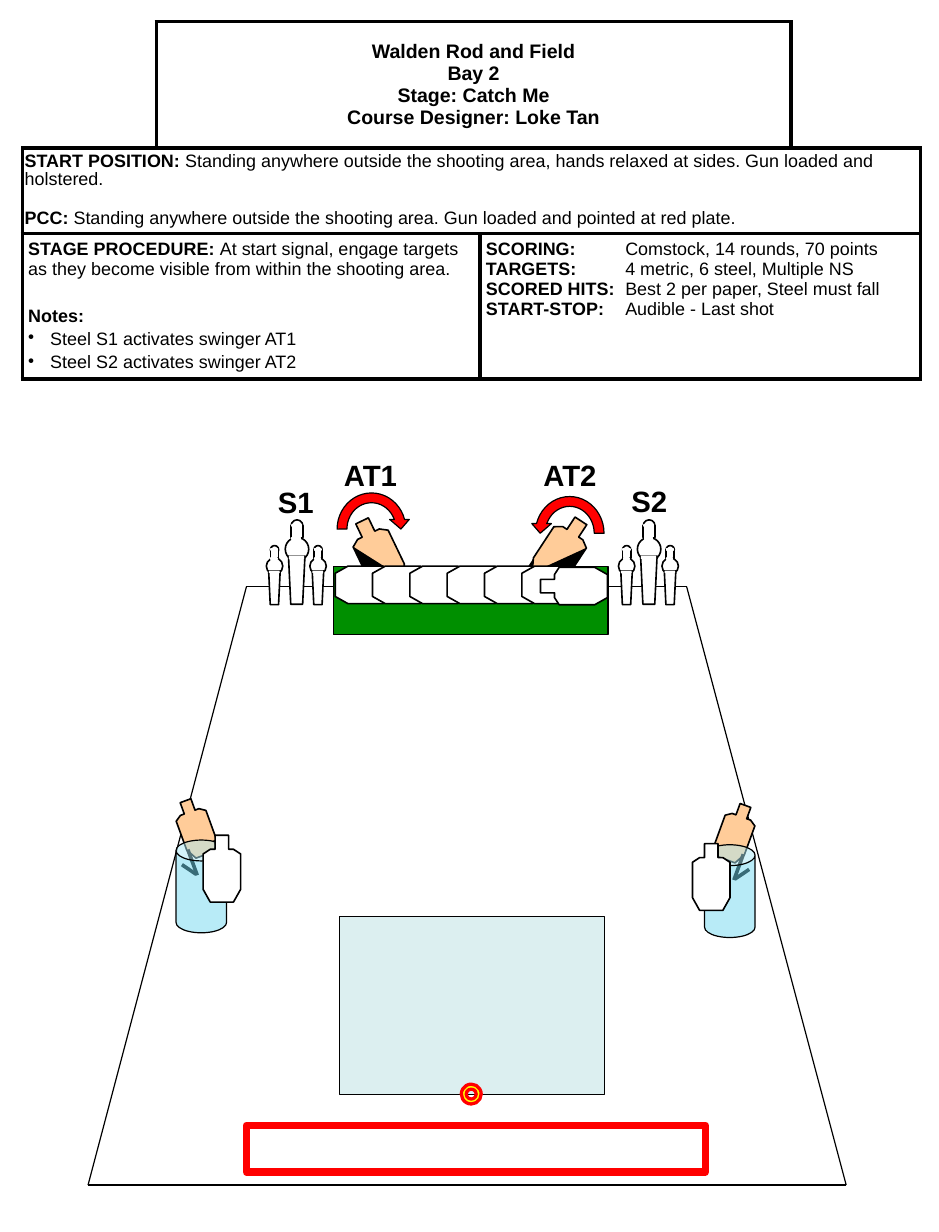
from dataclasses import dataclass

from lxml import etree
from pptx import Presentation
from pptx.dml.color import RGBColor
from pptx.enum import shapes as es, text as et
from pptx.oxml import ns
from pptx.util import Pt

BLACK, WHITE, RED, TAN = "000000", "FFFFFF", "FF0000", "FFCC99"
KIND = es.MSO_SHAPE


@dataclass
class Box:
    x: float
    y: float
    w: float
    h: float

    def emu(self):
        return Pt(self.x), Pt(self.y), Pt(self.w), Pt(self.h)


@dataclass
class Stick:
    x1: float
    y1: float
    x2: float
    y2: float


@dataclass
class Para:
    label: str
    body: str = ""
    gap: float = 0
    bullet: bool = False


TORSO = [(.32, 0), (.68, 0), (.68, .21), (.81, .21), (1, .28), (1, .81),
         (.81, 1), (.19, 1), (0, .81), (0, .28), (.19, .21), (.32, .21)]
SHADE = [(0, 0), (0, .72), (.22, 1), (1, 1)]
STEM = [(0, 0), (1, 0), (.86, 1), (.14, 1)]
FULL = 571.2  # left edge plus right edge of a mirrored pair

prs = Presentation()
prs.slide_width, prs.slide_height = Pt(576), Pt(756)
slide = prs.slides.add_slide(prs.slide_layouts[6])
pool = slide.shapes


def color(code: str) -> RGBColor:
    return RGBColor.from_string(code)


def sub(node, tag: str, **attrs: str):
    return etree.SubElement(node, ns.qn(tag), **attrs)


def paint(item, fill: str | None, line: str | None, width: float, alpha: int = 100):
    item.shadow.inherit = False
    if fill:
        item.fill.solid()
        item.fill.fore_color.rgb = color(fill)
        if alpha < 100:
            tone = item.fill._xPr.find(".//" + ns.qn("a:srgbClr"))
            sub(tone, "a:alpha", val=str(alpha * 1000))
    else:
        item.fill.background()
    if line:
        item.line.color.rgb = color(line)
        item.line.width = Pt(width)
    else:
        item.line.fill.background()
    return item


def shape(kind, box: Box, fill: str | None, line: str | None = BLACK,
          width: float = .75, alpha: int = 100):
    return paint(pool.add_shape(kind, *box.emu()), fill, line, width, alpha)


def outline(pts: list, box: Box, fill: str, turn: float = 0, flip: bool = False,
            line: str | None = BLACK):
    """Draw an outline given in fractions of its box."""
    spots = [(Pt(box.x + (1 - a if flip else a) * box.w), Pt(box.y + b * box.h)) for a, b in pts]
    maker = pool.build_freeform(*spots[0])
    maker.add_line_segments(spots[1:], close=True)
    item = paint(maker.convert_to_shape(), fill, line, 1)
    item.rotation = turn


def stick(s: Stick, width: float = 2.25):
    item = pool.add_connector(es.MSO_CONNECTOR.STRAIGHT, Pt(s.x1), Pt(s.y1), Pt(s.x2), Pt(s.y2))
    item.line.color.rgb = color(BLACK)
    item.line.width = Pt(width)
    sub(item._element.spPr, "a:effectLst")


def popper(x: float, y: float, size: float):
    def part(a, b, w, h):
        return Box(x + a * size, y + b * size, w * size, h * size)
    shape(KIND.OVAL, part(3.6, 0, 7.2, 7.2), WHITE, width=1)
    shape(KIND.OVAL, part(0, 10.8, 14.4, 14.4), WHITE, width=1)
    outline(STEM, part(2, 22.3, 10.1, 29.5), WHITE)
    shape(KIND.RECTANGLE, part(3.6, 3.6, 7.2, 7.2), WHITE, width=1)
    shape(KIND.RECTANGLE, part(2.2, 22, 9.4, 2), WHITE, None)
    for seam in (part(4.3, 10.8, 5, 1.4), part(4, 3, 6, .7)):
        shape(KIND.RECTANGLE, seam, WHITE, WHITE, 1)


def swinger(pole: Stick, body: Box, dark: Box, turn: float, flip: bool):
    stick(pole)
    outline(TORSO, body, TAN, turn)
    outline(SHADE, dark, BLACK, turn, flip, None)


def barrel(flip: bool):
    """Draw a barrel with the target standing in it."""
    drop = 2.9 if flip else 0

    def side(x, w=0):
        return FULL - x - w if flip else x
    outline(TORSO, Box(side(110.2, 19.4), 490.3 + drop, 19.4, 35.3), TAN, 20 if flip else 340)
    for a, b, c, d in ((131.8, 515.5, 137.5, 531.4), (115.2, 521.3, 121, 537.1),
                       (111.6, 530.6, 120.2, 536.4), (130.3, 526.3, 137.5, 530.6)):
        stick(Stick(side(a), b + drop, side(c), d + drop))
    can = shape(KIND.CAN, Box(side(108, 31), 515.5 + drop, 31, 56.9), "73D9F1", alpha=50)
    can.adjustments[0] = .413


def label(words: str, box: Box):
    frame = pool.add_textbox(*box.emu()).text_frame
    frame.word_wrap = False
    frame.text = words
    style(frame.paragraphs[0].runs[0], 18, True)


def style(run, size: float, bold: bool):
    run.font.name, run.font.size, run.font.bold = "Arial", Pt(size), bold
    run.font.color.rgb = color(BLACK)


def write(cell, paras: list[Para], inset: tuple = (3.6, 3.6), size: float = 11,
          space: float = 1, tab: float = 0):
    cell.margin_left = cell.margin_right = Pt(inset[0])
    cell.margin_top = cell.margin_bottom = Pt(inset[1])
    frame = cell.text_frame
    for i, para in enumerate(paras):
        p = frame.paragraphs[0] if i == 0 else frame.add_paragraph()
        p.line_spacing = space
        p.space_before = Pt(para.gap)
        props = p._p.get_or_add_pPr()
        if para.bullet:
            props.set("marL", str(Pt(13.5)))
            props.set("indent", str(-Pt(13.5)))
            sub(props, "a:buChar", char="•")
        if tab:
            sub(sub(props, "a:tabLst"), "a:tab", pos=str(Pt(tab)), algn="l")
        for words, bold in ((para.label, True), (para.body, False)):
            for k, piece in enumerate(words.split("\n") if words else []):
                if k:
                    p.add_line_break()
                run = p.add_run()
                run.text = piece
                style(run, size, bold)


def border(cell, sides: str):
    props = cell._tc.get_or_add_tcPr()
    for side in sides:
        edge = sub(props, f"a:ln{side}", w=str(Pt(2.25)))
        sub(sub(edge, "a:solidFill"), "a:srgbClr", val=BLACK)
    cell.fill.solid()
    cell.fill.fore_color.rgb = color(WHITE)


def briefing():
    table = pool.add_table(3, 4, Pt(13.7), Pt(13), Pt(550.8), Pt(219.6)).table
    table.first_row = table.horz_banding = False
    for col, w in zip(table.columns, (82.1, 198.7, 190.8, 79.2)):
        col.width = Pt(w)
    for row, h in zip(table.rows, (77.8, 52.6, 89.2)):
        row.height = Pt(h)
    for r in range(3):
        for c in range(4):
            border(table.cell(r, c), {(0, 0): "RB", (0, 3): "LB"}.get((r, c), "LRTB"))
    for r, a, b in ((0, 1, 2), (1, 0, 3), (2, 0, 1), (2, 2, 3)):
        table.cell(r, a).merge(table.cell(r, b))
    title = table.cell(0, 1)
    title.vertical_anchor = et.MSO_ANCHOR.MIDDLE
    write(title, [Para("Walden Rod and Field\nBay 2\nStage: Catch Me\nCourse Designer: Loke Tan")], size=12)
    title.text_frame.paragraphs[0].alignment = et.PP_ALIGN.CENTER
    write(table.cell(1, 0), [
        Para("START POSITION:", " Standing anywhere outside the shooting area, hands relaxed at sides. "
             "Gun loaded and holstered."),
        Para("PCC: ", "Standing anywhere outside the shooting area. Gun loaded and pointed at red plate.", 13),
    ], (1.4, 2.9), space=.9)
    write(table.cell(2, 0), [
        Para("STAGE PROCEDURE: ", "At start signal, engage targets as they become visible "
             "from within the shooting area."),
        Para("Notes:", gap=16.5),
        Para("", "Steel S1 activates swinger AT1", 2, True),
        Para("", "Steel S2 activates swinger AT2", 2, True)])
    write(table.cell(2, 2), [
        Para("SCORING:", "\tComstock, 14 rounds, 70 points"),
        Para("TARGETS:", "\t4 metric, 6 steel, Multiple NS"),
        Para("SCORED HITS:", "\tBest 2 per paper, Steel must fall"),
        Para("START-STOP:", "\tAudible - Last shot")], tab=85.5)


def main():
    for edge in (Stick(151.2, 360, 421.2, 360), Stick(54, 727.2, 519.1, 727.2),
                 Stick(151.2, 360, 54, 727.2), Stick(421.2, 360, 519.1, 727.2)):
        stick(edge, .75)
    shape(KIND.RECTANGLE, Box(151.2, 690.5, 281.5, 28.8), None, RED, 4.5)
    swinger(Stick(245.5, 344.2, 259.9, 373.7), Box(219.6, 317.5, 23.8, 43.2),
            Box(222.5, 329.8, 19.4, 31), 334.3, False)
    swinger(Stick(330.5, 339.8, 311.8, 367.9), Box(332.6, 316.1, 23.8, 43.2),
            Box(333.4, 328.3, 19.4, 31), 33.3, True)
    shape(KIND.RECTANGLE, Box(204.5, 347.8, 168.5, 41.8), "008F00")
    shape(KIND.CIRCULAR_ARROW, Box(203.8, 299.5, 48.2, 50.4), RED)
    back = shape(KIND.CIRCULAR_ARROW, Box(325.4, 301.7, 48.2, 51.1), RED)
    back._element.spPr.xfrm.set("flipH", "1")
    barrel(True)
    barrel(False)
    briefing()
    for x in (0, 216):
        popper(163.4 + x, 334.8, .7)
        popper(175 + x, 319, 1)
        popper(190.1 + x, 334.8, .7)
    shape(KIND.RECTANGLE, Box(208.1, 562.3, 162.7, 109.4), "BBE0E3", alpha=50)
    for words, x, y, w in (("S1", 163.4, 293.8, 42.5), ("S2", 380.2, 293, 42.5),
                           ("AT1", 203.8, 277.2, 51.1), ("AT2", 326.2, 277.2, 48.2)):
        label(words, Box(x, y, w, 28.8))
    spots = [(214.6 + 22.9 * i, 338.4, 90) for i in range(6)]
    spots += [(340.6, 339.1, 270), (424.8, 517.7, 0), (124.6, 512.6, 0)]
    for x, y, turn in spots:
        outline(TORSO, Box(x, y, 23, 41), WHITE, turn)
    shape(KIND.DONUT, Box(283, 665.3, 12.2, 12.2), "FFFF00", RED, 2)
    prs.save("out.pptx")


if __name__ == "__main__":
    main()
